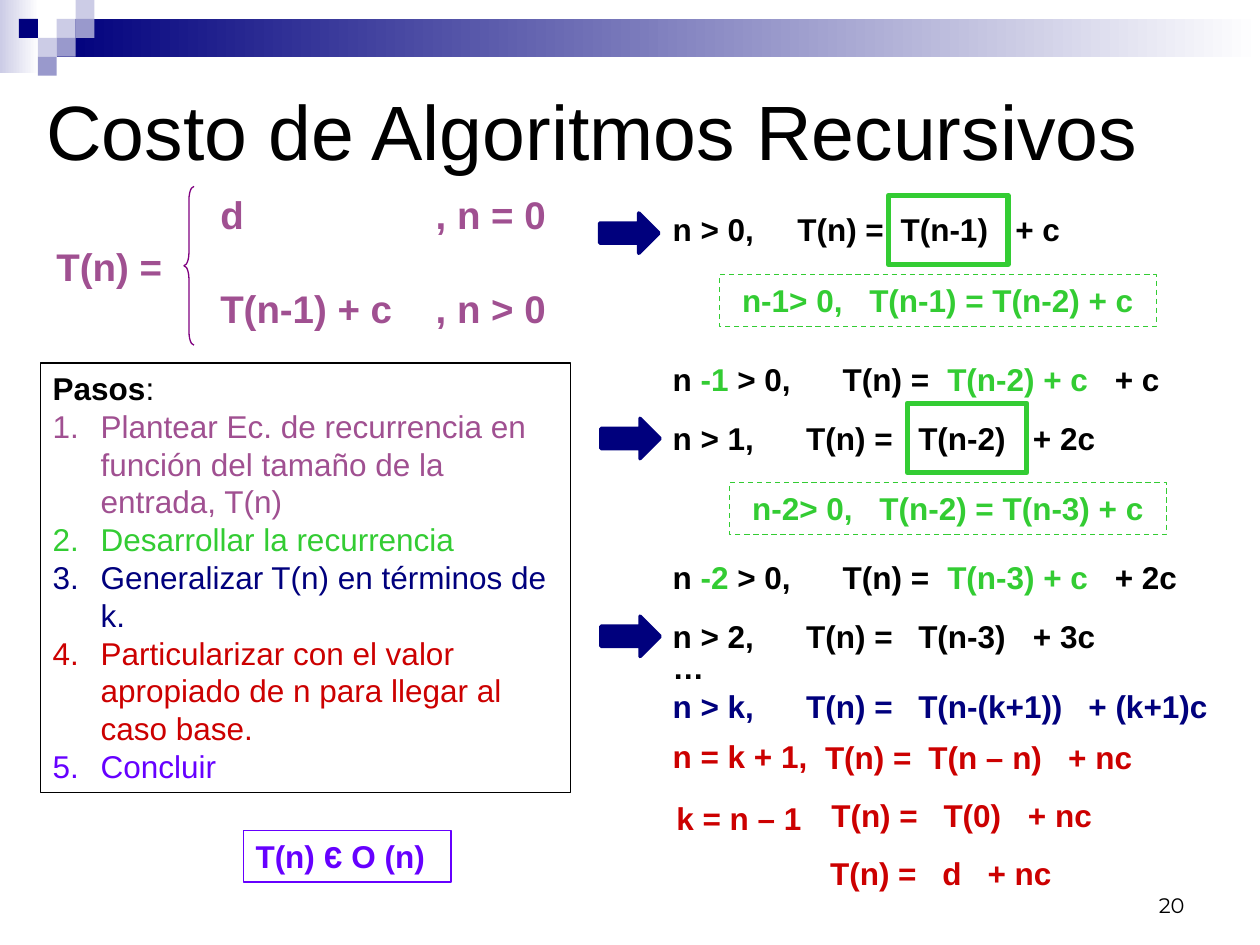
"""Build the slide on the cost of recursive algorithms."""
from dataclasses import dataclass

from lxml.etree import SubElement
from pptx import Presentation
from pptx.dml.color import RGBColor
from pptx.enum.dml import MSO_LINE
from pptx.enum.shapes import MSO_SHAPE
from pptx.enum.text import MSO_ANCHOR, PP_ALIGN
from pptx.oxml.ns import qn
from pptx.util import Inches, Pt

BLACK, NAVY, RED = "000000", "00007D", "CC0000"
GREEN, PLUM, VIOLET = "33CC33", "A05091", "6600FF"
PALE, MIDDLE, WHITE = "CCCCE6", "9999CC", "FFFFFF"
INSET = 0.1


@dataclass
class Box:
    """Position and size in inches."""
    left: float
    top: float
    width: float
    height: float


@dataclass
class Segment:
    """A run of text with its look."""
    text: str
    color: str = BLACK
    bold: bool = True
    size: float = 18
    font: str = "Arial"


@dataclass
class Equation:
    """A line of the development; columns are tab positions on the slide."""
    box: Box
    segments: list[Segment]
    columns: tuple[float, ...] = ()


@dataclass
class Substitution:
    """The term to replace and the dashed note that replaces it."""
    term: Box
    note: Box
    text: str
    column: float


def rgb(color: str) -> RGBColor:
    """Turn a hex string into a colour."""
    return RGBColor.from_string(color)


def add_shape(slide, kind, box: Box, fill=None, line=None, weight=0.75):
    """Add a preset shape with plain fill and line."""
    shape = slide.shapes.add_shape(
        kind, Inches(box.left), Inches(box.top), Inches(box.width), Inches(box.height))
    shape.shadow.inherit = False
    if fill:
        shape.fill.solid()
        shape.fill.fore_color.rgb = rgb(fill)
    else:
        shape.fill.background()
    if line:
        shape.line.color.rgb = rgb(line)
        shape.line.width = Pt(weight)
    else:
        shape.line.fill.background()
    return shape


def add_gradient(slide, box: Box, start: str, end: str) -> None:
    """Add a rectangle that fades from left to right."""
    shape = add_shape(slide, MSO_SHAPE.RECTANGLE, box)
    shape.fill.gradient()
    shape.fill.gradient_angle = 0
    for stop, color in zip(shape.fill.gradient_stops, (start, end)):
        stop.color.rgb = rgb(color)


def add_text_box(slide, box: Box):
    """Add an empty text box."""
    return slide.shapes.add_textbox(
        Inches(box.left), Inches(box.top), Inches(box.width), Inches(box.height))


def write(shape, paragraphs: list[list[Segment]], anchor=MSO_ANCHOR.TOP,
          align=PP_ALIGN.LEFT) -> list:
    """Fill a shape with paragraphs run by run and return them."""
    frame = shape.text_frame
    frame.word_wrap = True
    frame.vertical_anchor = anchor
    for index, segments in enumerate(paragraphs):
        paragraph = frame.paragraphs[0] if index == 0 else frame.add_paragraph()
        paragraph.alignment = align
        for segment in segments:
            run = paragraph.add_run()
            run.text = segment.text
            run.font.name = segment.font
            run.font.size = Pt(segment.size)
            run.font.bold = segment.bold
            run.font.color.rgb = rgb(segment.color)
    return list(frame.paragraphs)


def set_tabs(paragraph, origin: float, columns: tuple[float, ...]) -> None:
    """Place tab stops at slide positions, measured from the text origin."""
    tabs = SubElement(paragraph._p.get_or_add_pPr(), qn("a:tabLst"))
    for column in columns:
        SubElement(tabs, qn("a:tab"), pos=str(Inches(column - origin)), algn="l")


def add_equation(slide, equation: Equation) -> None:
    """Add one line of the development."""
    paragraph, = write(add_text_box(slide, equation.box), [equation.segments])
    if equation.columns:
        set_tabs(paragraph, equation.box.left + INSET, equation.columns)


def add_substitution(slide, item: Substitution) -> None:
    """Add the frame around a term and its dashed note."""
    note = add_shape(slide, MSO_SHAPE.RECTANGLE, item.note, line=GREEN)
    note.line.dash_style = MSO_LINE.DASH
    paragraph, = write(note, [[Segment(item.text, GREEN)]])
    inset = 0.18
    note.text_frame.margin_left = Inches(inset)
    set_tabs(paragraph, item.note.left + inset, (item.column,))
    add_shape(slide, MSO_SHAPE.RECTANGLE, item.term, line=GREEN, weight=3)


def add_header(slide) -> None:
    """Add the fading bar and the small squares."""
    add_gradient(slide, Box(0, 0, 0.31, 0.58), PALE, WHITE)
    add_gradient(slide, Box(0.45, 0.15, 9.55, 0.3), NAVY, WHITE)
    side = 0.15
    squares = [(3, 1, PALE), (4, 0, PALE), (4, 1, MIDDLE), (2, 2, PALE),
               (1, 1, NAVY), (3, 2, MIDDLE), (2, 3, MIDDLE)]
    for column, row, color in squares:
        box = Box(column * side, row * side, side, side)
        add_shape(slide, MSO_SHAPE.RECTANGLE, box, color)


def add_recurrence(slide) -> None:
    """Add the definition by cases with its brace."""
    write(add_text_box(slide, Box(0.35, 1.88, 1.13, 0.47)),
          [[Segment("T(n) =", PLUM, size=22)]])
    cases = write(add_text_box(slide, Box(1.65, 1.47, 2.82, 1.21)),
                  [[Segment("d\t, n = 0", PLUM, size=22)],
                   [Segment("T(n-1) + c\t, n > 0", PLUM, size=22)]])
    cases[1].space_before = Pt(27)
    for paragraph in cases:
        set_tabs(paragraph, 1.65 + INSET, (3.46,))
    brace = add_shape(slide, MSO_SHAPE.LEFT_BRACE, Box(1.46, 1.48, 0.08, 1.26), line="800080")
    brace.adjustments[0] = 1.315


def add_steps(slide) -> None:
    """Add the framed, numbered list of steps."""
    steps = [("Plantear Ec. de recurrencia en función del tamaño de la entrada, T(n)", PLUM),
             ("Desarrollar la recurrencia", GREEN),
             ("Generalizar T(n) en términos de k.", NAVY),
             ("Particularizar con el valor apropiado de n para llegar al caso base.", RED),
             ("Concluir", VIOLET)]
    frame = add_shape(slide, MSO_SHAPE.RECTANGLE, Box(0.32, 2.88, 4.21, 3.41), line=BLACK)
    heading = [Segment("Pasos"), Segment(":", bold=False)]
    paragraphs = write(frame, [heading] + [[Segment(text, color, False)] for text, color in steps])
    for index, paragraph in enumerate(paragraphs):
        paragraph.line_spacing = Pt(21.6)
        properties = paragraph._p.get_or_add_pPr()
        properties.set("marL", str(Inches(0.38)))
        properties.set("indent", str(Inches(-0.38)))
        if index:
            SubElement(properties, qn("a:buAutoNum"), type="arabicPeriod")


def add_development(slide) -> None:
    """Add the unfolding of the recurrence."""
    left, height = 5.24, 0.4
    plain, replaced = (6.4, 7.29, 8.2), (6.69, 7.52, 8.85)
    lines = [
        (1.62, [Segment("n > 0,\tT(n) =\tT(n-1)\t+ c")], (6.33, 7.15, 8.06)),
        (2.81, [Segment("n "), Segment("-1 ", GREEN), Segment("> 0,\tT(n) =\t"),
                Segment("T(n-2) + c", GREEN), Segment("\t+ c")], replaced),
        (3.28, [Segment("n > 1,\tT(n) =\tT(n-2)\t+ 2c")], plain),
        (4.38, [Segment("n "), Segment("-2 ", GREEN), Segment("> 0,\tT(n) =\t"),
                Segment("T(n-3) + c", GREEN), Segment("\t+ 2c")], replaced),
        (4.85, [Segment("n > 2,\tT(n) =\tT(n-3)\t+ 3c")], plain),
        (5.09, [Segment("…")], ()),
        (5.4, [Segment("n > k,\tT(n) =\tT(n-(k+1))\t+ (k+1)c", NAVY)], (6.4, 7.29, 8.64)),
        (5.8, [Segment("n = k + 1,", RED)], ()),
        (6.27, [Segment("\tT(n) =\tT(0)\t+ nc", RED)], (6.6, 7.49, 8.16)),
        (6.73, [Segment("\tT(n) =\td\t+ nc", RED)], (6.59, 7.48, 7.84)),
    ]
    for top, segments, columns in lines:
        add_equation(slide, Equation(Box(left, top, 4.73, height), segments, columns))
    closing = write(add_text_box(slide, Box(5.27, 5.81, 4.73, 1.18)),
                    [[Segment("\tT(n) =\tT(n – n)\t+ nc", RED)], [Segment("k = n – 1", RED)]])
    closing[1].space_before = Pt(13)
    set_tabs(closing[0], 5.27 + INSET, (6.55, 7.37, 8.48))
    for item in (
        Substitution(Box(7.05, 1.55, 0.95, 0.55), Box(5.71, 2.18, 3.47, 0.41),
                     "n-1> 0,\tT(n-1) = T(n-2) + c", 6.9),
        Substitution(Box(7.2, 3.2, 0.95, 0.55), Box(5.79, 3.83, 3.47, 0.41),
                     "n-2> 0,\tT(n-2) = T(n-3) + c", 6.98),
    ):
        add_substitution(slide, item)
    for arrow_left, top in ((4.76, 1.69), (4.77, 3.32), (4.77, 4.89)):
        add_shape(slide, MSO_SHAPE.RIGHT_ARROW, Box(arrow_left, top, 0.47, 0.32), NAVY, NAVY, 2)


def main() -> None:
    """Build and save the presentation."""
    presentation = Presentation()
    presentation.slide_width, presentation.slide_height = Inches(10), Inches(7.5)
    slide = presentation.slides.add_slide(presentation.slide_layouts[6])
    add_header(slide)
    write(add_text_box(slide, Box(0.27, 0.28, 9, 1.5)),
          [[Segment("Costo de Algoritmos Recursivos", bold=False, size=44)]], MSO_ANCHOR.MIDDLE)
    add_steps(slide)
    add_recurrence(slide)
    add_development(slide)
    result = add_shape(slide, MSO_SHAPE.RECTANGLE, Box(1.93, 6.59, 1.65, 0.41), line=VIOLET)
    write(result, [[Segment("T(n) ", VIOLET), Segment("Є", VIOLET, font="Courier New"),
                    Segment(" O (n)", VIOLET)]])
    write(add_text_box(slide, Box(7.17, 6.83, 2.33, 0.5)),
          [[Segment("20", bold=False, size=12, font="Montserrat")]],
          MSO_ANCHOR.BOTTOM, PP_ALIGN.RIGHT)
    presentation.save("out.pptx")


if __name__ == "__main__":
    main()
